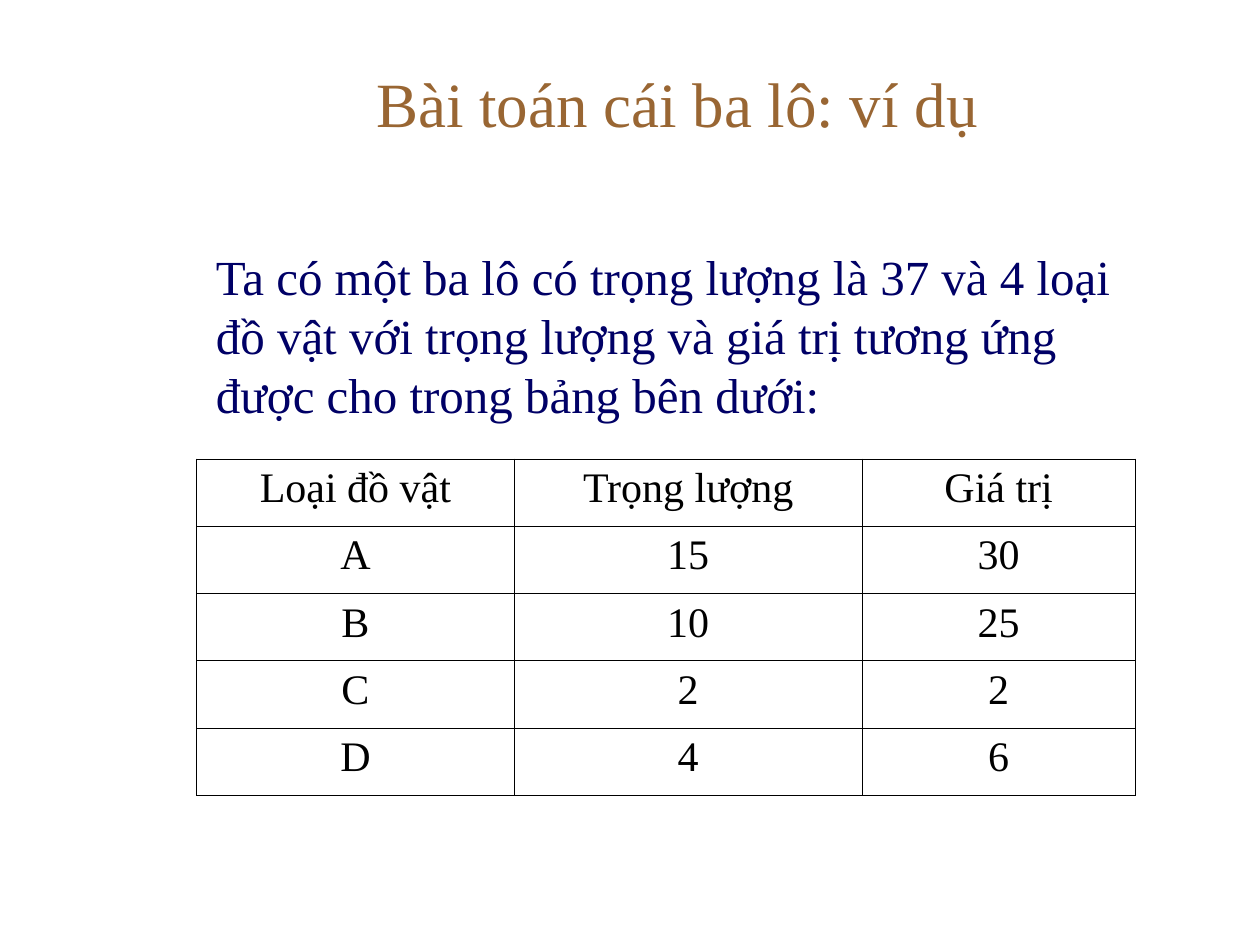
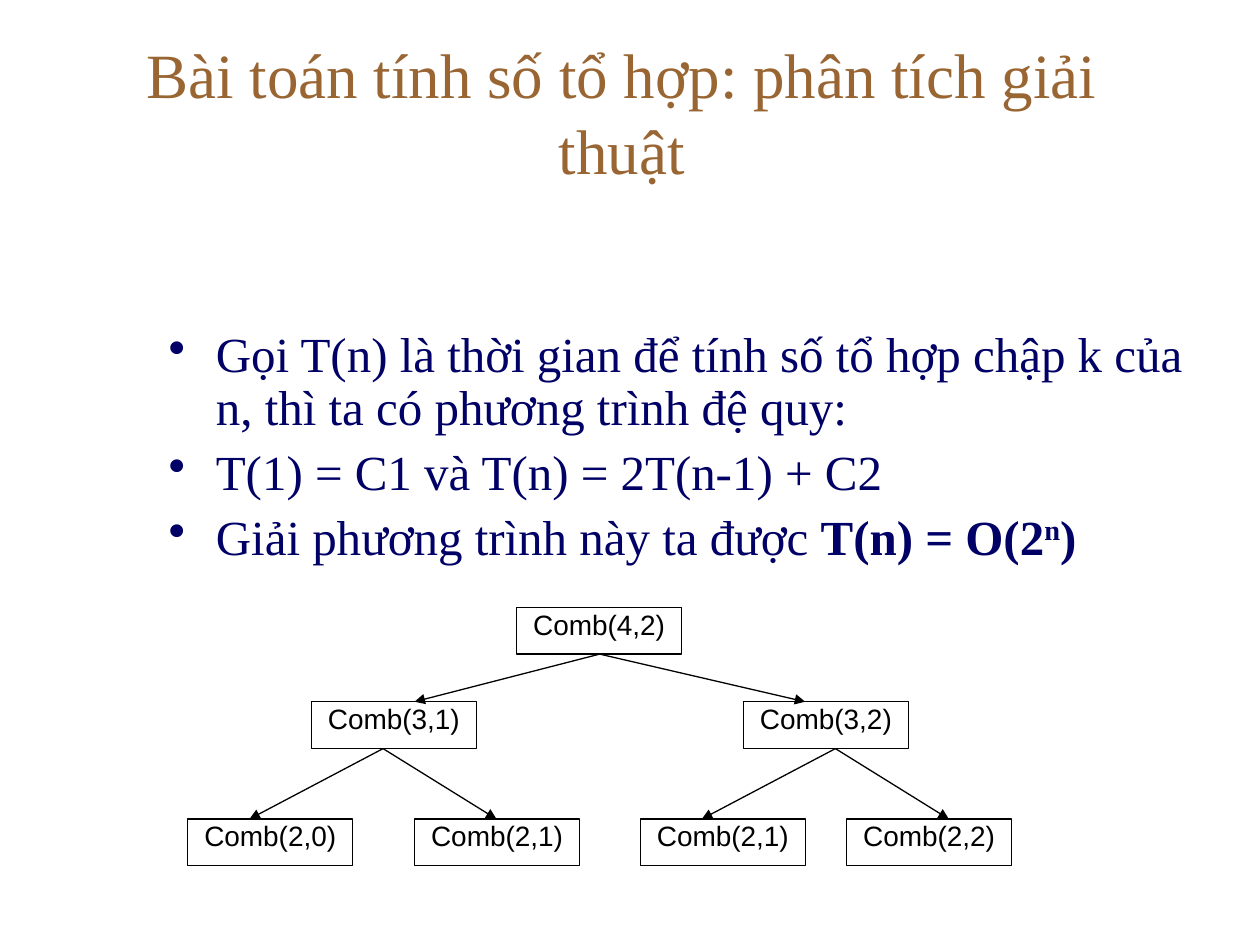
"""Build two algorithm slides: a knapsack table and a recursion tree."""
import pptx
import pptx.util
import pptx.dml.color
import pptx.enum.shapes
import pptx.enum.text
import pptx.oxml
import pptx.oxml.ns
import lxml.etree

Pt = pptx.util.Pt
CENTER = pptx.enum.text.PP_ALIGN.CENTER
MIDDLE = pptx.enum.text.MSO_ANCHOR.MIDDLE
SERIF, SANS = "Times New Roman", "Arial"
COLORS = {"title": "996633", "body": "000066", "ink": "000000", "paper": "FFFFFF"}


def rgb(name):
    return pptx.dml.color.RGBColor.from_string(COLORS[name])


def style(p, size, color, font=SERIF, align=None, before=0):
    p.alignment = align
    p.space_before = Pt(before)
    for r in p.runs:
        r.font.size = Pt(size)
        r.font.name = font
        r.font.color.rgb = rgb(color)


prs = pptx.Presentation()
prs.slide_width, prs.slide_height = Pt(720), Pt(540)

pages = [
    {"title": "Bài toán cái ba lô: ví dụ",
     "title_box": (90, 21.6, 594, 74.2),
     "body": ["Ta có một ba lô có trọng lượng là 37 và 4 loại đồ vật với trọng lượng "
              "và giá trị tương ứng được cho trong bảng bên dưới:"],
     "body_box": (89.3, 137.5, 577.4, 112.3),
     "bullets": False},
    {"title": "Bài toán tính số tổ hợp: phân tích giải thuật",
     "title_box": (73.4, 7.9, 563.8, 111.6),
     "body": ["Gọi T(n) là thời gian để tính số tổ hợp chập k của n, "
              "thì ta có phương trình đệ quy:",
              "T(1) = C1 và T(n) = 2T(n-1) + C2",
              "Giải phương trình này ta được "],
     "body_box": (89.3, 185, 594.7, 147.6),
     "bullets": True},
]

for page in pages:
    s = prs.slides.add_slide(prs.slide_layouts[6])
    tf = s.shapes.add_textbox(*map(Pt, page["title_box"])).text_frame
    tf.word_wrap = True
    tf.vertical_anchor = MIDDLE
    tf.text = page["title"]
    style(tf.paragraphs[0], 36, "title", align=CENTER)

    tf = s.shapes.add_textbox(*map(Pt, page["body_box"])).text_frame
    tf.word_wrap = True
    tf.text = "\n".join(page["body"])
    if page["bullets"]:
        for text in ("T(n) = O(2", "n", ")"):
            r = tf.paragraphs[-1].add_run()
            r.text = text
            r.font.bold = True
            if text == "n":
                r.font._element.set("baseline", "30000")
    for p in tf.paragraphs:
        style(p, 28, "body", before=7)
        pPr = p._p.get_or_add_pPr()
        pPr.set("marL", str(Pt(27)))
        if page["bullets"]:
            p.line_spacing = 0.9
            pPr.set("indent", str(Pt(-27)))
            bu = lxml.etree.SubElement(pPr, pptx.oxml.ns.qn("a:buChar"))
            bu.set("char", "•")

rows = [("Loại đồ vật", "Trọng lượng", "Giá trị"),
        ("A", "15", "30"), ("B", "10", "25"), ("C", "2", "2"), ("D", "4", "6")]
widths = (181.6, 198.7, 156.2)
row_height = 38.45
table = prs.slides[0].shapes.add_table(
    len(rows), len(widths), Pt(112.3), Pt(262.2),
    Pt(sum(widths)), Pt(row_height * len(rows))).table
table.first_row = table.horz_banding = False
for column, width in zip(table.columns, widths):
    column.width = Pt(width)
for i, values in enumerate(rows):
    table.rows[i].height = Pt(row_height)
    for j, value in enumerate(values):
        cell = table.cell(i, j)
        cell.text = value
        style(cell.text_frame.paragraphs[0], 24, "ink", align=CENTER)
        tcPr = cell._tc.get_or_add_tcPr()
        for side in ("lnL", "lnR", "lnT", "lnB"):
            tcPr.append(pptx.oxml.parse_xml(
                f'<a:{side} {pptx.oxml.ns.nsdecls("a")} w="{Pt(0.45)}"><a:solidFill>'
                f'<a:srgbClr val="{COLORS["ink"]}"/></a:solidFill></a:{side}>'))
        cell.fill.solid()
        cell.fill.fore_color.rgb = rgb("paper")

s = prs.slides[1]
box_width, box_height = 94.4, 26.8
levels = (347, 401, 468)
nodes = [("Comb(4,2)", 295.2, 0), ("Comb(3,1)", 177.9, 1), ("Comb(3,2)", 424.8, 1),
         ("Comb(2,0)", 107.3, 2), ("Comb(2,1)", 236.9, 2),
         ("Comb(2,1)", 365.9, 2), ("Comb(2,2)", 483.8, 2)]
for text, left, level in nodes:
    sp = s.shapes.add_shape(pptx.enum.shapes.MSO_SHAPE.RECTANGLE, Pt(left),
                            Pt(levels[level]), Pt(box_width), Pt(box_height))
    sp.shadow.inherit = False
    sp.fill.solid()
    sp.fill.fore_color.rgb = rgb("paper")
    sp.line.color.rgb = rgb("ink")
    sp.line.width = Pt(0.74)
    tf = sp.text_frame
    tf.margin_left = tf.margin_right = tf.margin_top = tf.margin_bottom = 0
    tf.vertical_anchor = pptx.enum.text.MSO_ANCHOR.TOP
    tf.text = text
    style(tf.paragraphs[0], 16, "ink", SANS, CENTER, 4)

forks = [(342.7, 0, (-105.8, 117.4)), (218.9, 1, (-76.3, 64.8)), (477.4, 1, (-76.3, 64.8))]
for x, level, offsets in forks:
    for offset in offsets:
        line = s.shapes.add_connector(
            pptx.enum.shapes.MSO_CONNECTOR.STRAIGHT, Pt(x), Pt(levels[level] + box_height),
            Pt(x + offset), Pt(levels[level + 1]))
        line.line.color.rgb = rgb("ink")
        line.line.width = Pt(0.74)
        spPr = line._element.spPr
        tail = lxml.etree.SubElement(spPr.find(pptx.oxml.ns.qn("a:ln")),
                                     pptx.oxml.ns.qn("a:tailEnd"))
        tail.set("type", "triangle")
        lxml.etree.SubElement(spPr, pptx.oxml.ns.qn("a:effectLst"))

prs.save("out.pptx")
